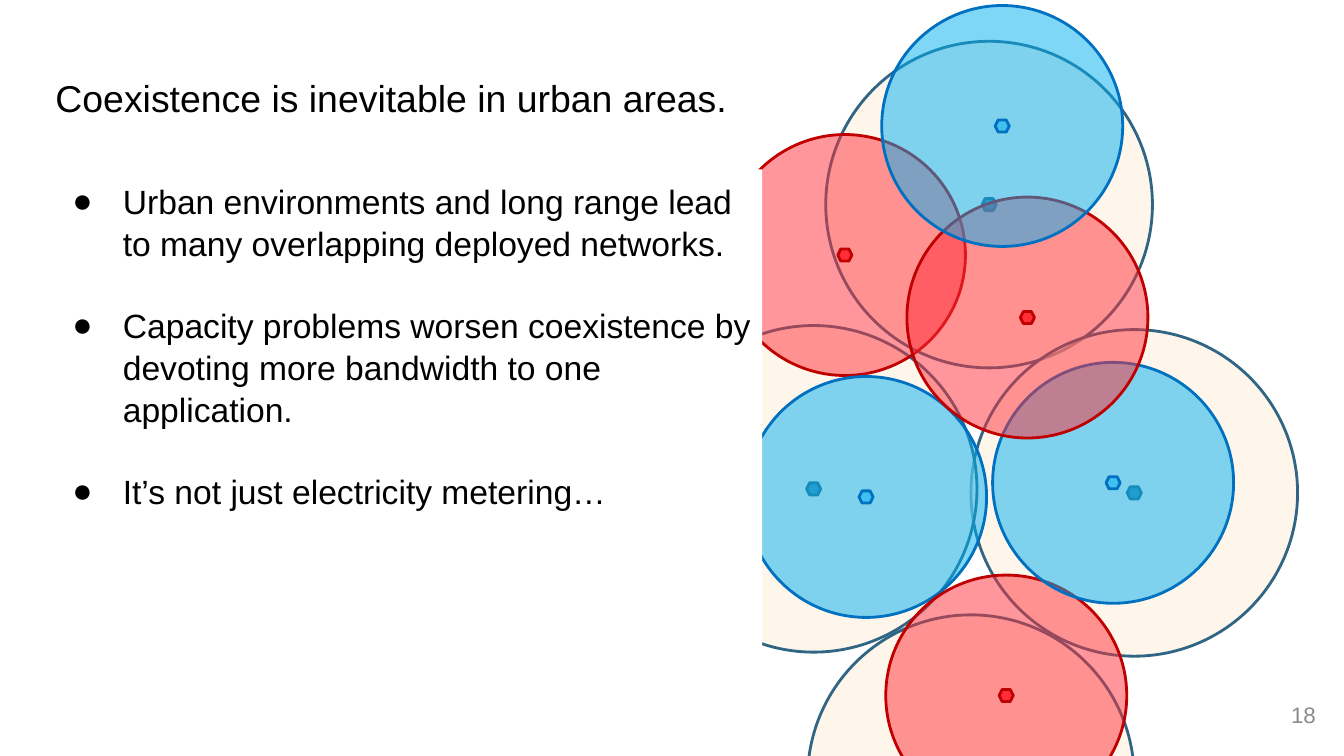
"""Build a slide on coexisting urban networks, with overlapping coverage circles."""
from dataclasses import dataclass
from typing import NamedTuple

from lxml import etree
from pptx import Presentation, slide, util as u
from pptx.dml import color, fill
from pptx.enum import shapes, text
from pptx.oxml import ns
from pptx.shapes import autoshape
from pptx.text import text as t


@dataclass(frozen=True)
class Theme:
    font: str = "Arial"
    ink: str = "000000"
    paper: str = "FFFFFF"
    muted: str = "8C8C8C"
    title_size: float = 26.7
    body_size: float = 24
    number_size: float = 16
    outline: float = 2
    line_spacing: float = 1.04
    bullet_gap: float = 28.7
    inset: float = 0.1
    translucent: int = 50


class Network(NamedTuple):
    diameter: float
    area: str
    gateway: str
    line: str
    gateway_opacity: int


class Site(NamedTuple):
    network: Network
    x: float
    y: float
    gateway_shown: bool = True


class Area(NamedTuple):
    left: float
    top: float
    width: float
    height: float


THEME = Theme()
WIDE = Network(3.24, "FFEED9", "418AB3", "306684", 100)
RED = Network(2.39, "FF2E38", "FF2E38", "C00000", 100)
BLUE = Network(2.39, "00B0F0", "00B0F0", "0070C0", 50)
GATEWAY_WIDTH, GATEWAY_HEIGHT = 0.14, 0.12

SITES = (
    Site(WIDE, 9.81, 2.03),
    Site(WIDE, 11.25, 4.89),
    Site(WIDE, 8.07, 4.85),
    Site(WIDE, 9.63, 7.72, gateway_shown=False),
    Site(RED, 8.38, 2.53),
    Site(BLUE, 8.59, 4.93),
    Site(RED, 9.98, 6.9),
    Site(BLUE, 11.04, 4.79),
    Site(RED, 10.19, 3.15),
    Site(BLUE, 9.94, 1.25),
)

TITLE = "Coexistence is inevitable in urban areas."
POINTS = (
    "Urban environments and long range lead to many overlapping deployed networks.",
    "Capacity problems worsen coexistence by devoting more bandwidth to one application.",
    "It’s not just electricity metering…",
)
TITLE_AREA = Area(0.45, 0.65, 7.11, 0.84)
BODY_AREA = Area(0.45, 1.68, 7.11, 4.98)
NUMBER_AREA = Area(12.35, 6.8, 0.8, 0.57)


def paint(target: fill.FillFormat, rgb: str, opacity: int = 100) -> None:
    """Apply a solid colour with an opacity in percent."""
    target.solid()
    target.fore_color.rgb = color.RGBColor.from_string(rgb)
    if opacity < 100:
        swatch = target.fore_color._xFill.find(ns.qn("a:srgbClr"))
        etree.SubElement(swatch, ns.qn("a:alpha"), val=str(opacity * 1000))


def outline(shape: autoshape.Shape, rgb: str) -> None:
    """Give a shape its border and remove its shadow."""
    shape.line.color.rgb = color.RGBColor.from_string(rgb)
    shape.line.width = u.Pt(THEME.outline)
    shape.shadow.inherit = False


def draw_site(page: slide.Slide, site: Site) -> None:
    """Draw a coverage circle with its gateway at the centre."""
    network = site.network
    parts = [(shapes.MSO_SHAPE.OVAL, network.diameter, network.diameter,
              network.area, THEME.translucent)]
    if site.gateway_shown:
        parts.append((shapes.MSO_SHAPE.HEXAGON, GATEWAY_WIDTH, GATEWAY_HEIGHT,
                      network.gateway, network.gateway_opacity))
    group = page.shapes.add_group_shape()
    for kind, width, height, rgb, opacity in parts:
        shape = group.shapes.add_shape(
            kind, u.Inches(site.x - width / 2), u.Inches(site.y - height / 2),
            u.Inches(width), u.Inches(height))
        paint(shape.fill, rgb, opacity)
        outline(shape, network.line)


def place(box: autoshape.Shape, area: Area, anchor: text.MSO_ANCHOR) -> t.TextFrame:
    """Position a text holder and prepare its frame."""
    box.left, box.top, box.width, box.height = map(u.Inches, area)
    frame = box.text_frame
    frame.word_wrap = True
    frame.auto_size = text.MSO_AUTO_SIZE.NONE
    frame.vertical_anchor = anchor
    frame.margin_left = frame.margin_right = u.Inches(THEME.inset)
    frame.margin_top = frame.margin_bottom = u.Inches(THEME.inset)
    return frame


def style(para: t._Paragraph, size: float, rgb: str, align: text.PP_ALIGN) -> None:
    """Format the paragraph and its runs."""
    para.alignment = align
    for span in para.runs:
        span.font.name = THEME.font
        span.font.size = u.Pt(size)
        span.font.color.rgb = color.RGBColor.from_string(rgb)


def add_bullet(para: t._Paragraph) -> None:
    """Give a paragraph a hanging round bullet."""
    properties = para._p.get_or_add_pPr()
    properties.set("marL", str(u.Inches(0.67)))
    properties.set("indent", str(u.Inches(-0.5)))
    etree.SubElement(properties, ns.qn("a:buFont"), typeface=THEME.font)
    etree.SubElement(properties, ns.qn("a:buChar"), char="●")


def draw_title(page: slide.Slide) -> None:
    """Fill the title placeholder and bring it in front of the circles."""
    title = page.shapes.title
    frame = place(title, TITLE_AREA, text.MSO_ANCHOR.TOP)
    frame.text = TITLE
    paint(title.fill, THEME.paper)
    style(frame.paragraphs[0], THEME.title_size, THEME.ink, text.PP_ALIGN.LEFT)
    page.shapes.element.append(title.element)


def draw_body(page: slide.Slide) -> None:
    """Write the bulleted points on a white panel."""
    box = page.shapes.add_textbox(0, 0, 0, 0)
    frame = place(box, BODY_AREA, text.MSO_ANCHOR.TOP)
    frame.text = "\n".join(POINTS)
    paint(box.fill, THEME.paper)
    for index, para in enumerate(frame.paragraphs):
        add_bullet(para)
        style(para, THEME.body_size, THEME.ink, text.PP_ALIGN.LEFT)
        para.line_spacing = THEME.line_spacing
        if index:
            para.space_before = u.Pt(THEME.bullet_gap)


def draw_number(page: slide.Slide) -> None:
    """Write the page number in the lower right corner."""
    box = page.shapes.add_textbox(0, 0, 0, 0)
    frame = place(box, NUMBER_AREA, text.MSO_ANCHOR.MIDDLE)
    frame.text = "18"
    style(frame.paragraphs[0], THEME.number_size, THEME.muted, text.PP_ALIGN.RIGHT)


def main() -> None:
    """Assemble and save the deck."""
    deck = Presentation()
    deck.slide_width, deck.slide_height = u.Inches(13.33), u.Inches(7.5)
    page = deck.slides.add_slide(deck.slide_layouts.get_by_name("Title Only"))
    for site in SITES:
        draw_site(page, site)
    draw_title(page)
    draw_body(page)
    draw_number(page)
    deck.save("out.pptx")


if __name__ == "__main__":
    main()
